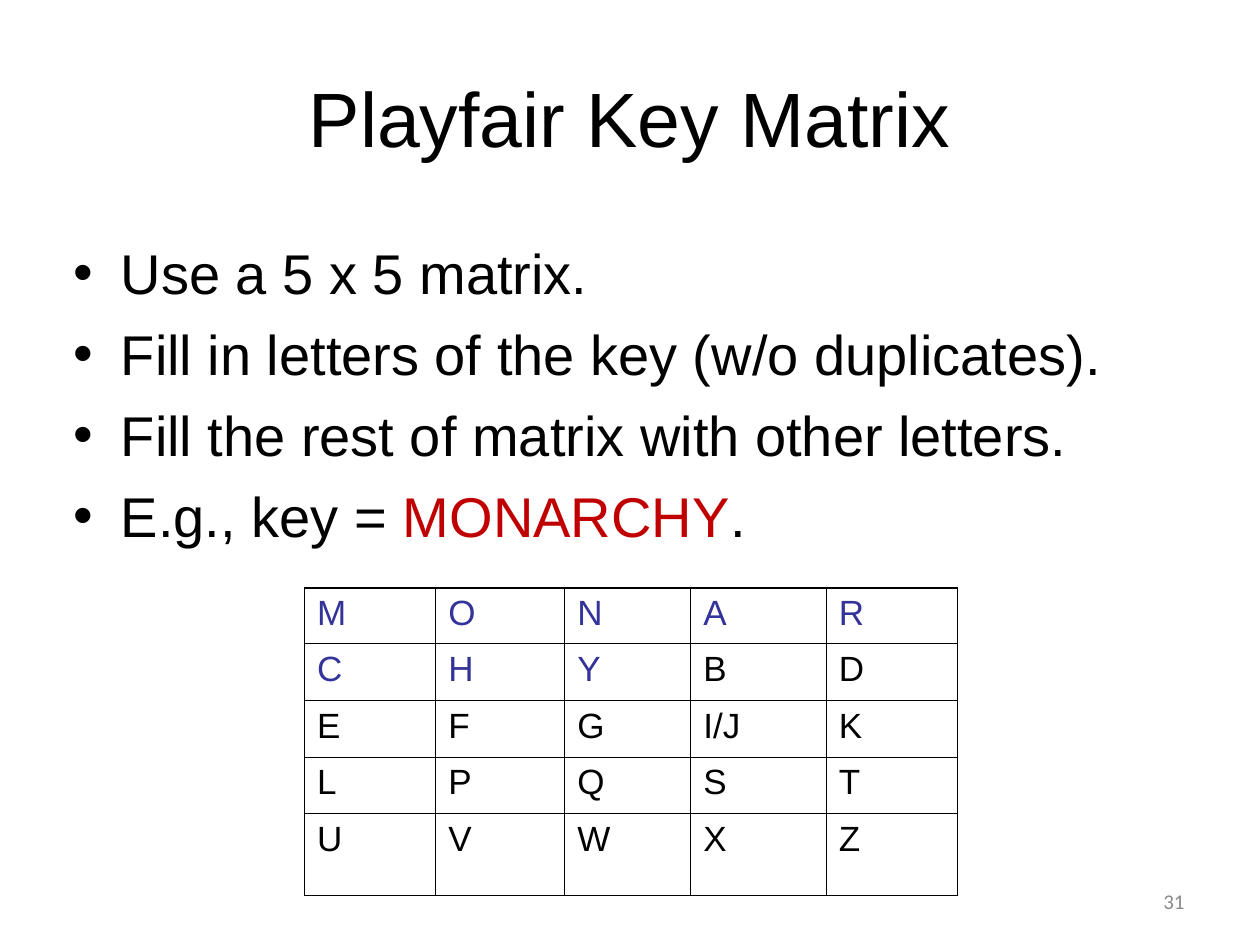
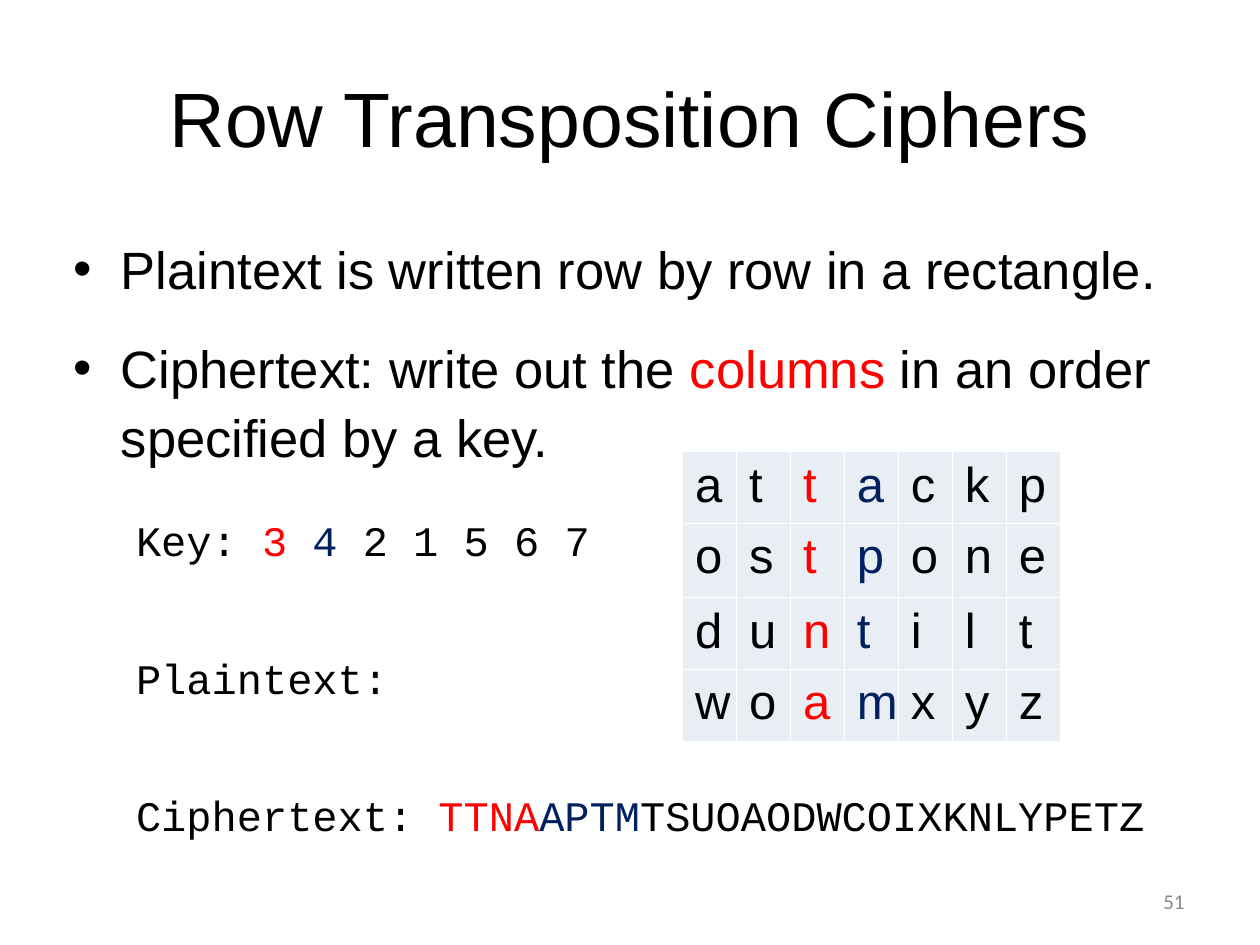
from dataclasses import dataclass
from typing import Callable

from lxml import etree
from pptx import Presentation
from pptx.dml.color import RGBColor
from pptx.enum.text import MSO_ANCHOR, PP_ALIGN
from pptx.oxml.ns import qn
from pptx.util import Inches, Pt

CENTER, RIGHT = PP_ALIGN.CENTER, PP_ALIGN.RIGHT
TOP, MIDDLE = MSO_ANCHOR.TOP, MSO_ANCHOR.MIDDLE
TITLE_ONLY = 5

COLORS = {
    "black": "000000", "white": "FFFFFF", "grey": "898989",
    "crimson": "C00000", "red": "FF0000", "navy": "002060",
    "key_blue": "333399", "cell": "E9EDF4",
}
SANS, MONO, FOOTER_FONT = "Arial", "Courier New", "Calibri"
PAGE_WIDTH, PAGE_HEIGHT = Inches(10), Inches(7.5)
UNIT = PAGE_WIDTH / 120  # the page is a grid of 120 columns by 90 rows
INSET = Inches(0.08)
BULLET_INDENT, CODE_INDENT = Inches(0.38), Inches(0.5)

Span = tuple[str, str]


@dataclass
class Area:
    left: float
    top: float
    width: float
    height: float

    def lengths(self) -> list[int]:
        return [grid(n) for n in (self.left, self.top, self.width, self.height)]


@dataclass
class Line:
    spans: list[Span]
    size: float
    leading: float
    before: float = 0
    bullet: bool = True


@dataclass
class Matrix:
    left: float
    top: float
    columns: list[float]
    rows: list[float]
    letters: list[list[str]]
    size: float
    color_at: Callable[[int, int], str]
    border: str
    outer_width: float
    fill: str | None = None


TITLE_AREA = Area(6, 3.6, 108, 15)
NUMBER_AREA = Area(86, 83.4, 28, 4.8)


def grid(count: float) -> int:
    return round(count * UNIT)


def rgb(name: str) -> RGBColor:
    return RGBColor.from_string(COLORS[name])


def add_span(para, text: str, *, size: float, font: str = SANS, color: str = "black") -> None:
    span = para.add_run()
    span.text = text
    span.font.name, span.font.size = font, Pt(size)
    span.font.color.rgb = rgb(color)


def add_box(page, area: Area, anchor=TOP):
    frame = page.shapes.add_textbox(*area.lengths()).text_frame
    frame.word_wrap, frame.vertical_anchor = True, anchor
    return frame


# Shared title and page number
def add_page(deck, title: str, number: str):
    page = deck.slides.add_slide(deck.slide_layouts[TITLE_ONLY])
    holder = page.shapes.title
    holder.left, holder.top, holder.width, holder.height = TITLE_AREA.lengths()
    holder.text_frame.vertical_anchor = MIDDLE
    heading = holder.text_frame.paragraphs[0]
    heading.alignment = CENTER
    add_span(heading, title, size=44)
    footer = add_box(page, NUMBER_AREA, MIDDLE).paragraphs[0]
    footer.alignment = RIGHT
    add_span(footer, number, size=12, font=FOOTER_FONT, color="grey")
    return page


# Body text with bullets and code lines
def add_body(page, area: Area, lines: list[Line]) -> None:
    frame = add_box(page, area)
    frame.margin_left = frame.margin_right = frame.margin_top = INSET
    for index, line in enumerate(lines):
        para = frame.add_paragraph() if index else frame.paragraphs[0]
        properties = para._p.get_or_add_pPr()
        if line.bullet:
            properties.set("marL", str(BULLET_INDENT))
            properties.set("indent", str(-BULLET_INDENT))
            etree.SubElement(properties, qn("a:buFont"), typeface=SANS)
            etree.SubElement(properties, qn("a:buChar"), char="•")
        else:
            properties.set("marL", str(CODE_INDENT))
        para.line_spacing = Pt(line.leading)
        para.space_before = Pt(line.before)
        for text, color in line.spans:
            add_span(para, text, size=line.size, color=color,
                     font=SANS if line.bullet else MONO)


# Letter tables
def set_border(cell, side: str, width: float, color: str) -> None:
    edge = etree.SubElement(cell._tc.get_or_add_tcPr(), qn(f"a:ln{side}"), w=str(Pt(width)))
    fill = etree.SubElement(edge, qn("a:solidFill"))
    etree.SubElement(fill, qn("a:srgbClr"), val=COLORS[color])


def add_matrix(page, matrix: Matrix) -> None:
    area = Area(matrix.left, matrix.top, sum(matrix.columns), sum(matrix.rows))
    last_row, last_column = len(matrix.rows) - 1, len(matrix.columns) - 1
    table = page.shapes.add_table(last_row + 1, last_column + 1, *area.lengths()).table
    table.first_row = table.horz_banding = False
    for column, width in zip(table.columns, matrix.columns):
        column.width = grid(width)
    for row, height in zip(table.rows, matrix.rows):
        row.height = grid(height)
    for r, letters in enumerate(matrix.letters):
        for c, letter in enumerate(letters):
            cell = table.cell(r, c)
            add_span(cell.text_frame.paragraphs[0], letter,
                     size=matrix.size, color=matrix.color_at(r, c))
            outer = {"L": c == 0, "R": c == last_column, "T": r == 0, "B": r == last_row}
            for side, is_outer in outer.items():
                set_border(cell, side, matrix.outer_width if is_outer else 0.45, matrix.border)
            if matrix.fill:
                cell.fill.solid()
                cell.fill.fore_color.rgb = rgb(matrix.fill)
            else:
                cell.fill.background()


def add_playfair(deck) -> None:
    page = add_page(deck, "Playfair Key Matrix", "31")
    points: list[list[Span]] = [
        [("Use a 5 x 5 matrix.", "black")],
        [("Fill in letters of the key (w/o duplicates).", "black")],
        [("Fill the rest of matrix with other letters.", "black")],
        [("E.g., key = ", "black"), ("MONARCHY", "crimson"), (".", "black")],
    ]
    add_body(page, Area(6, 22, 108, 35),
             [Line(spans, 32, 37, 9.3 if index else 0) for index, spans in enumerate(points)])
    key_length = len("MONARCHY")
    add_matrix(page, Matrix(
        left=29, top=56,
        columns=[12.5, 12.3, 12, 12.9, 12.5], rows=[5.3, 5.4, 5.4, 5.4, 7.8],
        letters=[list("MONAR"), list("CHYBD"), ["E", "F", "G", "I/J", "K"],
                 list("LPQST"), list("UVWXZ")],
        size=20, border="black", outer_width=1.08,
        color_at=lambda r, c: "key_blue" if r * 5 + c < key_length else "black"))


def add_transposition(deck) -> None:
    page = add_page(deck, "Row Transposition Ciphers", "51")
    add_body(page, Area(6, 21, 108, 59.4), [
        Line([("Plaintext is written row by row in a rectangle.", "black")], 30, 39.4),
        Line([("Ciphertext: write out the ", "black"), ("columns", "red"),
              (" in an order specified by a key.", "black")], 30, 39.4, 17.4),
        Line([("Key: ", "black"), ("3 ", "red"), ("4", "navy"),
              (" 2 1 5 6 7", "black")], 24, 27, 28.7, bullet=False),
        Line([("Plaintext:", "black")], 24, 27, 51.5, bullet=False),
        Line([("Ciphertext: ", "black"), ("TTNA", "red"), ("APTM", "navy"),
              ("TSUOAODWCOIXKNLYPETZ", "black")], 24, 27, 51.5, bullet=False),
    ])
    key_columns = {2: "red", 3: "navy"}
    add_matrix(page, Matrix(
        left=65, top=43, columns=[36 / 7] * 7, rows=[6.84, 7.08, 6.84, 6.84],
        letters=[list(word) for word in ("attackp", "ostpone", "duntilt", "woamxyz")],
        size=28, border="white", outer_width=0.45, fill="cell",
        color_at=lambda r, c: key_columns.get(c, "black")))


def main() -> None:
    deck = Presentation()
    deck.slide_width, deck.slide_height = PAGE_WIDTH, PAGE_HEIGHT
    add_playfair(deck)
    add_transposition(deck)
    deck.save("out.pptx")


if __name__ == "__main__":
    main()
